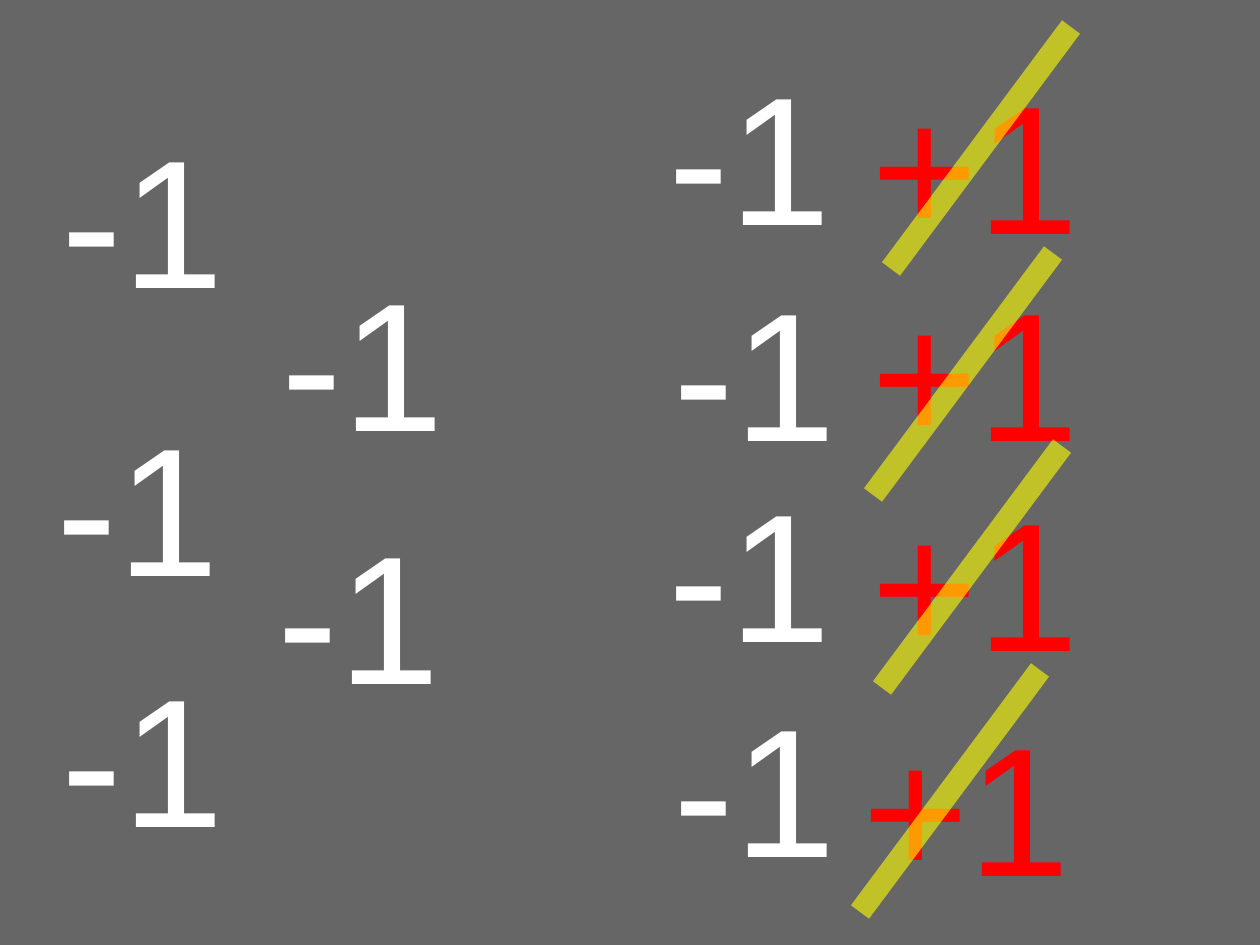
from lxml import etree
from pptx import Presentation
from pptx import util as u
from pptx.dml.color import RGBColor
from pptx.enum import shapes, text
from pptx.oxml.ns import qn

PX = 8000  # EMU per px
SLIDE_SIZE = (1260, 945)
COUNTER_SIZE = (256, 215)
STRIKE_RUN, STRIKE_RISE = 180, 242

GRAY = RGBColor(0x66, 0x66, 0x66)
WHITE = RGBColor(0xFF, 0xFF, 0xFF)
RED = RGBColor(0xFF, 0x00, 0x00)
YELLOW = RGBColor(0xFF, 0xFF, 0x00)

# Left and top of each counter
LOOSE_NEGATIVES = [(50, 100), (270, 243), (45, 388), (266, 496), (50, 639)]
PAIRED_NEGATIVES = [(657, 37), (662, 253), (657, 454), (662, 669)]
POSITIVES = [(860, 46), (860, 253), (860, 463), (851, 688)]
# Upper right end of each strike
STRIKES = [(1071, 27), (1053, 253), (1062, 446), (1040, 670)]


def px(*lengths):
    return [u.Emu(length * PX) for length in lengths]


def add_backdrop(slide):
    backdrop = slide.shapes.add_shape(
        shapes.MSO_SHAPE.RECTANGLE, *px(0, 0, *SLIDE_SIZE))
    backdrop.shadow.inherit = False
    backdrop.fill.solid()
    backdrop.fill.fore_color.rgb = GRAY
    backdrop.line.fill.background()


def add_counter(slide, position, label, color):
    box = slide.shapes.add_textbox(*px(*position, *COUNTER_SIZE))
    frame = box.text_frame
    frame.word_wrap = True
    frame.auto_size = text.MSO_AUTO_SIZE.SHAPE_TO_FIT_TEXT
    paragraph = frame.paragraphs[0]
    paragraph.text = label
    paragraph.font.name = "Arial"
    paragraph.font.size = u.Pt(115)
    paragraph.font.color.rgb = color


def add_strike(slide, right, top):
    strike = slide.shapes.add_connector(
        shapes.MSO_CONNECTOR.STRAIGHT,
        *px(right, top, right - STRIKE_RUN, top + STRIKE_RISE))
    strike.line.width = u.Pt(14.17)
    strike.line.color.rgb = YELLOW
    # Translucent colour and no shadow
    properties = strike.element.spPr
    color = properties.find(".//" + qn("a:srgbClr"))
    etree.SubElement(color, qn("a:alpha"), val="60000")
    etree.SubElement(properties, qn("a:effectLst"))


def main():
    presentation = Presentation()
    presentation.slide_width, presentation.slide_height = px(*SLIDE_SIZE)
    slide = presentation.slides.add_slide(presentation.slide_layouts[6])
    add_backdrop(slide)

    # Counters
    for position in LOOSE_NEGATIVES + PAIRED_NEGATIVES:
        add_counter(slide, position, "-1", WHITE)
    for position in POSITIVES:
        add_counter(slide, position, "+1", RED)

    # Strikes through the positive counters
    for right, top in STRIKES:
        add_strike(slide, right, top)

    presentation.save("out.pptx")


if __name__ == "__main__":
    main()
